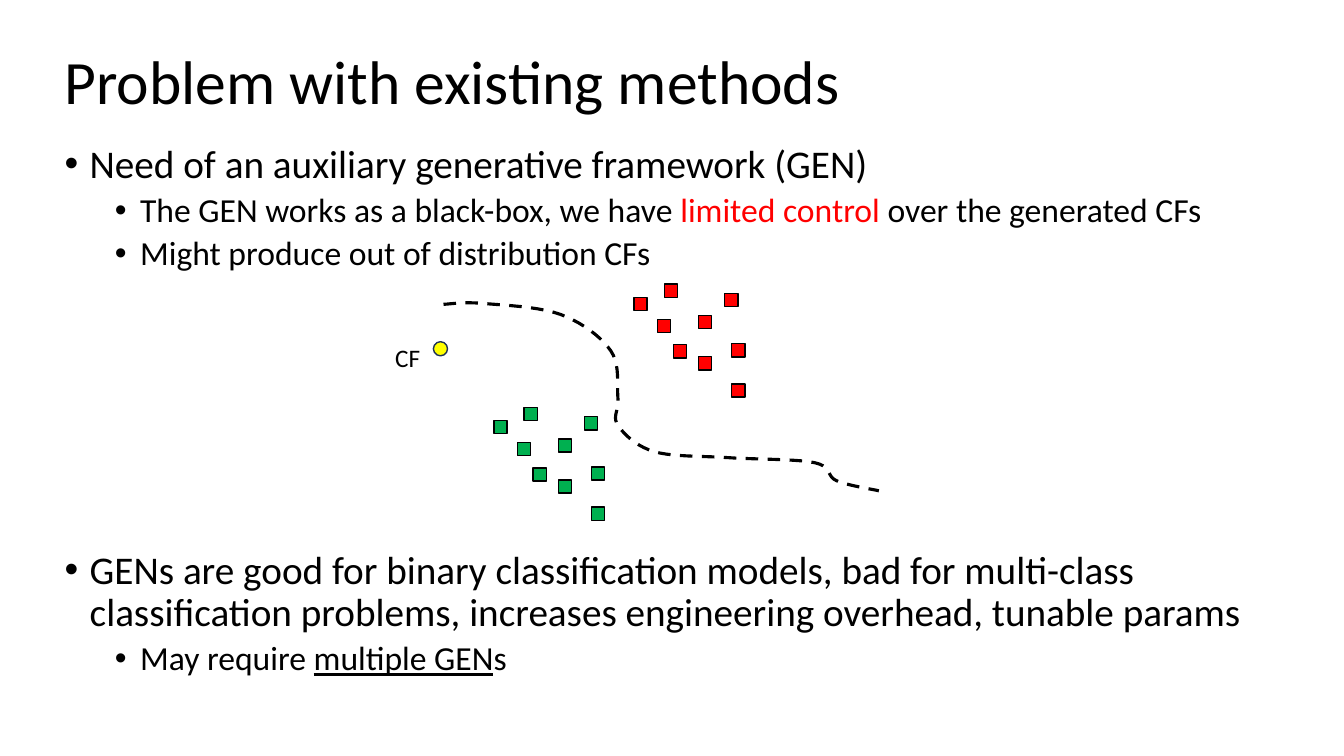
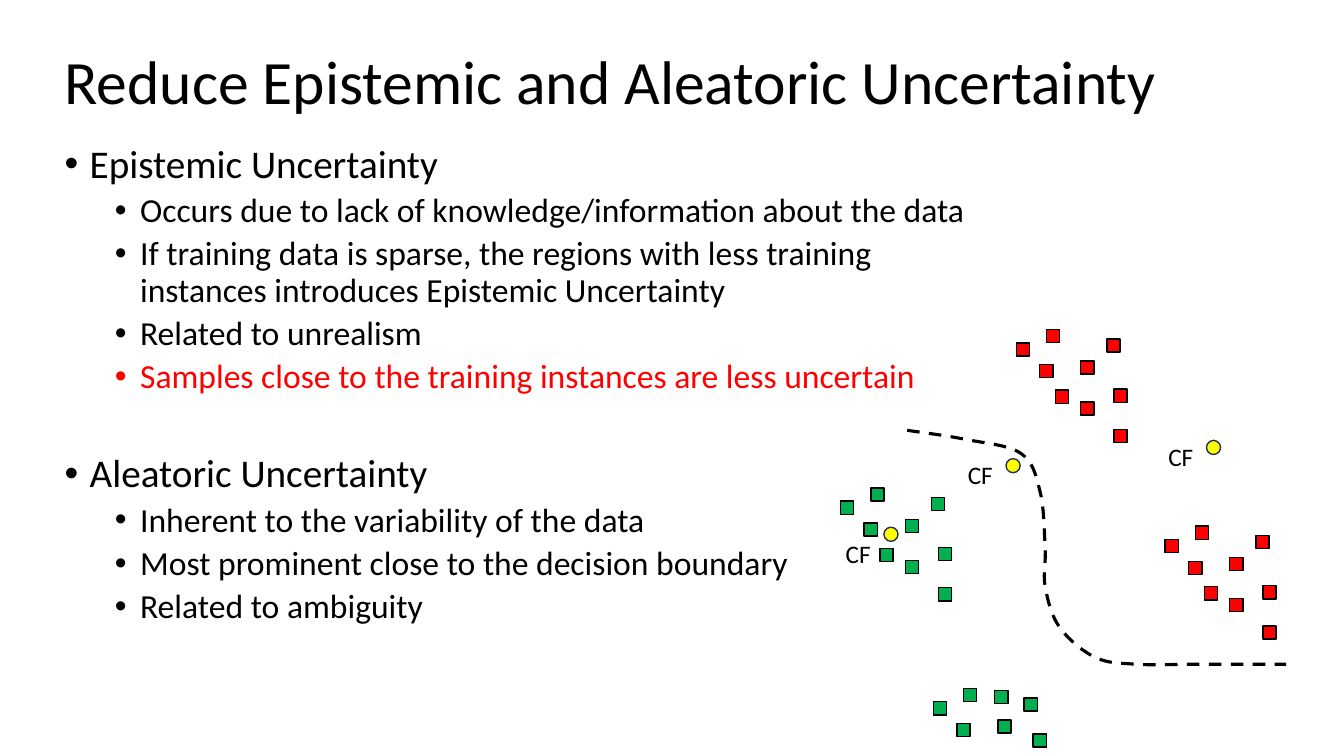
import dataclasses

import lxml.etree
import pptx
import pptx.dml.color
import pptx.enum.dml
import pptx.enum.shapes
import pptx.enum.text
import pptx.oxml.ns
import pptx.util

Pt = pptx.util.Pt
RGB = pptx.dml.color.RGBColor.from_string
SHAPE = pptx.enum.shapes.MSO_SHAPE


# Shared colours, type sizes and placement
@dataclasses.dataclass(frozen=True)
class Theme:
    font: str = "Calibri"
    ink: str = "000000"
    red: str = "FF0000"
    green: str = "00B050"
    yellow: str = "FFFF00"
    navy: str = "1E3256"
    title_size: int = 44
    level_sizes: tuple = (28, 24)
    level_spacing: tuple = (10, 5)
    level_margins: tuple = (18, 54)
    label_size: int = 18
    hanging: int = 18
    line_spacing: float = 0.9
    left: float = 38.9
    content_width: float = 881.3
    title_top: float = 28.8
    title_height: float = 63.4
    body_top: float = 99.4
    body_height: float = 387.4
    sample: float = 9.4
    dot: float = 10.1
    outline: float = 1
    boundary: float = 2.25


THEME = Theme()

# Sample positions inside a cluster, from its top left corner
CLUSTER = [(21.6, 0), (46.1, 22.5), (64.8, 6.7), (0, 9.5), (16.8, 25.1),
           (69.8, 71.3), (69.8, 42.6), (46.1, 51.8), (28, 43.3)]
CUT_CLUSTER = CLUSTER[:5] + [(71.3, 32.4), (43.9, 1.4)]


def apply_format(target, values):
    for attribute, value in values.items():
        setattr(target, attribute, value)


def place(shape, left, top, width, height):
    apply_format(shape, {"left": Pt(left), "top": Pt(top),
                         "width": Pt(width), "height": Pt(height)})


def write_run(paragraph, text, size, color=THEME.ink, **extra):
    run = paragraph.add_run()
    run.text = text
    apply_format(run.font, {"name": THEME.font, "size": Pt(size), **extra})
    run.font.color.rgb = RGB(color)


# Title and bullet list
def add_title(slide, text):
    title = slide.shapes.title
    place(title, THEME.left, THEME.title_top, THEME.content_width, THEME.title_height)
    apply_format(title.text_frame, {
        "word_wrap": True,
        "auto_size": pptx.enum.text.MSO_AUTO_SIZE.NONE,
        "vertical_anchor": pptx.enum.text.MSO_ANCHOR.MIDDLE})
    heading = title.text_frame.paragraphs[0]
    apply_format(heading, {"alignment": pptx.enum.text.PP_ALIGN.LEFT,
                           "line_spacing": THEME.line_spacing})
    write_run(heading, text, THEME.title_size)


def set_bullet(paragraph, level):
    properties = paragraph._p.get_or_add_pPr()
    properties.set("marL", str(Pt(THEME.level_margins[level])))
    properties.set("indent", str(-Pt(THEME.hanging)))
    for tag, key, value in (("a:buFont", "typeface", "Arial"), ("a:buChar", "char", "•")):
        element = lxml.etree.SubElement(properties, pptx.oxml.ns.qn(tag))
        element.set(key, value)


def add_bullets(slide, bullets, width):
    """Each bullet is (level, runs, extra gap above); a run is (text, format)."""
    body = slide.placeholders[1]
    place(body, THEME.left, THEME.body_top, width, THEME.body_height)
    frame = body.text_frame
    apply_format(frame, {"word_wrap": True,
                         "auto_size": pptx.enum.text.MSO_AUTO_SIZE.NONE})
    for index, (level, runs, gap) in enumerate(bullets):
        item = frame.add_paragraph() if index else frame.paragraphs[0]
        set_bullet(item, level)
        space = THEME.level_spacing[level] + gap if index else 0
        apply_format(item, {"level": level, "space_before": Pt(space),
                            "line_spacing": THEME.line_spacing})
        for text, values in runs:
            write_run(item, text, THEME.level_sizes[level], **values)


# Scatter diagram
def add_marker(slide, kind, left, top, size, fill, line):
    marker = slide.shapes.add_shape(kind, Pt(left), Pt(top), Pt(size), Pt(size))
    marker.shadow.inherit = False
    marker.fill.solid()
    marker.fill.fore_color.rgb = RGB(fill)
    marker.line.color.rgb = RGB(line)
    marker.line.width = Pt(THEME.outline)


def add_cluster(slide, left, top, color, offsets=CLUSTER):
    for dx, dy in offsets:
        add_marker(slide, SHAPE.RECTANGLE, left + dx, top + dy,
                   THEME.sample, color, THEME.ink)


def add_counterfactual(slide, left, top, label_shift=-2.9):
    add_marker(slide, SHAPE.OVAL, left, top, THEME.dot, THEME.yellow, THEME.navy)
    label = slide.shapes.add_textbox(Pt(left - 34.4), Pt(top + label_shift),
                                     Pt(32.4), Pt(28.8))
    label.text_frame.word_wrap = False
    write_run(label.text_frame.paragraphs[0], "CF", THEME.label_size)


def smooth_path(knots, steps=10):
    """Points along a Catmull-Rom curve through the knots."""
    padded = [knots[0], *knots, knots[-1]]
    points = [knots[0]]
    for a, b, c, d in zip(padded, padded[1:], padded[2:], padded[3:]):
        for step in range(1, steps + 1):
            t = step / steps
            points.append(tuple(
                q + t / 2 * (r - p + t * (2 * p - 5 * q + 4 * r - s
                                          + t * (3 * q - p - 3 * r + s)))
                for p, q, r, s in zip(a, b, c, d)))
    return points


def add_boundary(slide, knots):
    start, *rest = [(Pt(x), Pt(y)) for x, y in smooth_path(knots)]
    builder = slide.shapes.build_freeform(*start)
    builder.add_line_segments(rest, close=False)
    curve = builder.convert_to_shape()
    curve.shadow.inherit = False
    curve.fill.background()
    curve.line.color.rgb = RGB(THEME.ink)
    apply_format(curve.line, {"width": Pt(THEME.boundary),
                              "dash_style": pptx.enum.dml.MSO_LINE.DASH})


# Slides
def new_slide(deck, title, bullets, width=THEME.content_width):
    slide = deck.slides.add_slide(deck.slide_layouts[1])
    add_title(slide, title)
    add_bullets(slide, bullets, width)
    return slide


def add_problem_slide(deck):
    slide = new_slide(deck, "Problem with existing methods", [
        (0, [("Need of an auxiliary generative framework (GEN)", {})], 0),
        (1, [("The GEN works as a black-box, we have ", {}),
             ("limited control", {"color": THEME.red}),
             (" over the generated CFs", {})], 0),
        (1, [("Might produce out of distribution CFs", {})], 0),
        (0, [("GENs are good for binary classification models, bad for multi-class "
              "classification problems, increases engineering overhead, "
              "tunable params", {})], 188),
        (1, [("May require ", {}), ("multiple GEN", {"underline": True}), ("s", {})], 0),
    ])
    add_boundary(slide, [
        (316.8, 217.4), (344.2, 216.7), (400.3, 224.6), (436.3, 250.6),
        (441.4, 284.4), (441.4, 303.8), (467.3, 322.6), (519.8, 326.9),
        (581.8, 330.5), (597.6, 343.4), (627.8, 350.6)])
    add_cluster(slide, 452.9, 203, THEME.red)
    add_cluster(slide, 352.8, 291, THEME.green)
    add_counterfactual(slide, 309.6, 244.1)


def add_uncertainty_slide(deck):
    slide = new_slide(deck, "Reduce Epistemic and Aleatoric Uncertainty", [
        (0, [("Epistemic Uncertainty", {})], 0),
        (1, [("Occurs due to lack of knowledge/information about the data", {})], 0),
        (1, [("If training data is sparse, the regions with less training "
              "instances introduces Epistemic Uncertainty", {})], 0),
        (1, [("Related to unrealism", {})], 0),
        (1, [("Samples close to the training instances are less uncertain",
              {"color": THEME.red})], 0),
        (0, [("Aleatoric Uncertainty", {})], 31.4),
        (1, [("Inherent to the variability of the data", {})], 0),
        (1, [("Most prominent close to the decision boundary", {})], 0),
        (1, [("Related to ambiguity", {})], 0),
    ], width=661)
    add_boundary(slide, [
        (648, 307.4), (689.8, 313.9), (729.4, 324), (743, 351.4),
        (746.6, 391.7), (746.6, 419), (756.7, 447.8), (781.9, 469.4),
        (811.4, 474.5), (856.1, 474.5), (918.7, 474.5)])
    add_cluster(slide, 725.9, 235.4, THEME.red)
    add_cluster(slide, 832.3, 375.8, THEME.red)
    add_cluster(slide, 600.5, 348.5, THEME.green)
    add_cluster(slide, 666.7, 491.8, THEME.green, CUT_CLUSTER)
    add_counterfactual(slide, 861.8, 314.6)
    add_counterfactual(slide, 718.6, 327.6)
    add_counterfactual(slide, 631.4, 376.6, label_shift=4.3)


def main():
    deck = pptx.Presentation()
    apply_format(deck, {"slide_width": Pt(960), "slide_height": Pt(540)})
    add_problem_slide(deck)
    add_uncertainty_slide(deck)
    deck.save("out.pptx")


if __name__ == "__main__":
    main()
